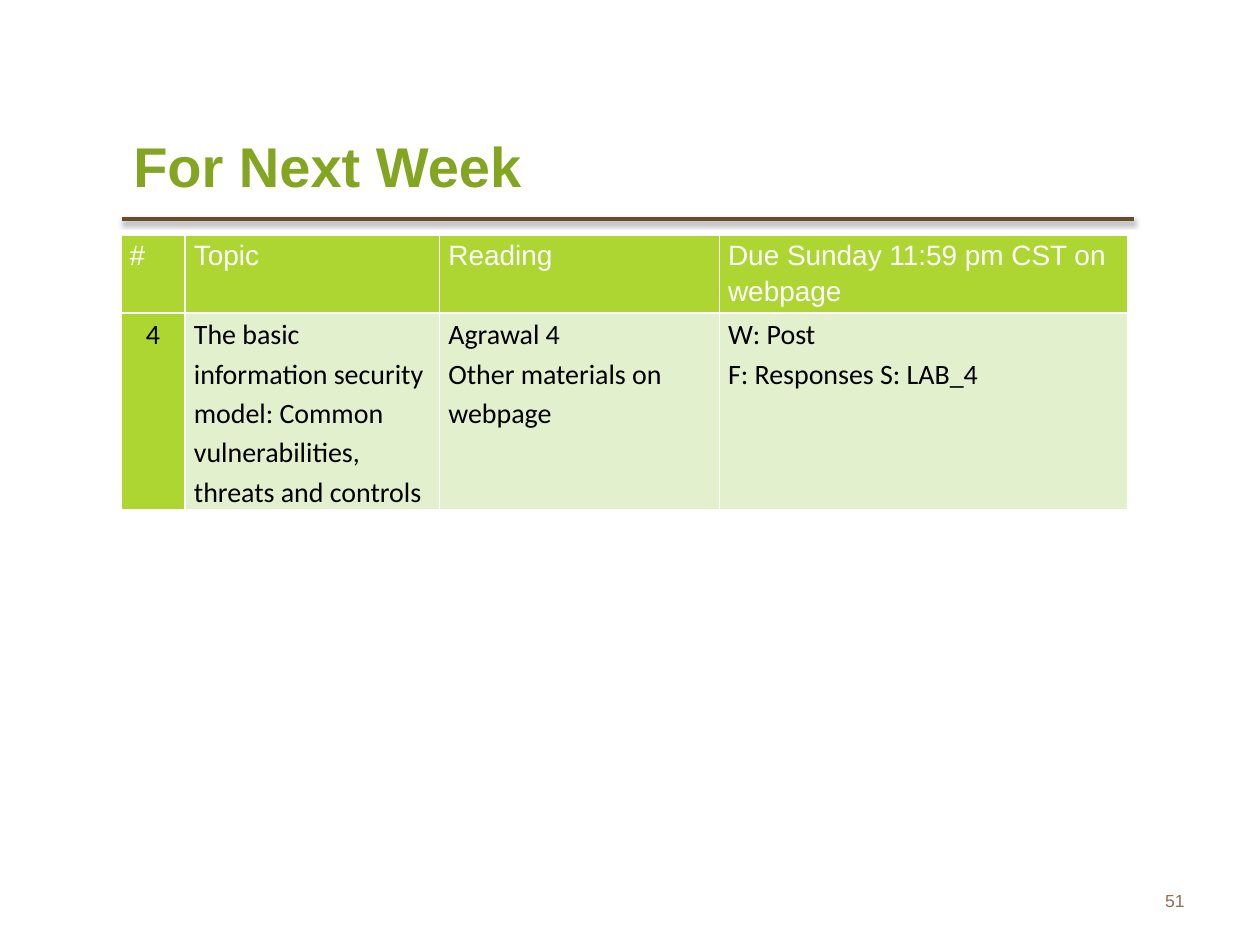
"""Build the course slide that lists the work due next week."""
from dataclasses import dataclass

from lxml import etree
from pptx import Presentation
from pptx import util as u
from pptx.dml.color import RGBColor
from pptx.enum import shapes, text
from pptx.oxml.ns import qn

GRID_COLUMNS, GRID_ROWS = 100, 75
CELL = u.Inches(0.1)
WHITE = RGBColor(0xFF, 0xFF, 0xFF)
BLACK = RGBColor(0x00, 0x00, 0x00)
LIME = RGBColor(0xAD, 0xD6, 0x32)
PALE_LIME = RGBColor(0xE3, 0xF0, 0xCE)
OLIVE = RGBColor(0x84, 0xA5, 0x21)
BROWN = RGBColor(0x63, 0x4D, 0x2A)
TAN = RGBColor(0x8F, 0x6F, 0x52)
LEFT, CENTER, RIGHT = text.PP_ALIGN.LEFT, text.PP_ALIGN.CENTER, text.PP_ALIGN.RIGHT


@dataclass(frozen=True)
class Label:
    """A text box measured in grid columns and rows."""
    wording: str
    left: float
    top: float
    width: float
    height: float
    size: int
    color: RGBColor
    bold: bool = False
    align: text.PP_ALIGN = LEFT


@dataclass(frozen=True)
class Entry:
    """A table cell with one or more paragraphs."""
    paragraphs: tuple[str, ...]
    fill: RGBColor
    color: RGBColor = BLACK
    font: str = "Calibri"
    align: text.PP_ALIGN = LEFT


LABELS = (
    Label("51", 71.7, 69.5, 23.3, 4, 10, TAN, align=RIGHT),
    Label("For Next Week", 9.6, 8.6, 57.7, 9, 32, OLIVE, bold=True),
)
HEADINGS = ("#", "Topic", "Reading", "Due Sunday 11:59 pm CST on webpage")
SCHEDULE = (
    tuple(Entry((heading,), LIME, WHITE, "Arial") for heading in HEADINGS),
    (
        Entry(("4",), LIME, align=CENTER),
        Entry(("The basic information security model: Common vulnerabilities, "
               "threats and controls",), PALE_LIME),
        Entry(("Agrawal 4", "Other materials on webpage"), PALE_LIME),
        Entry(("W: Post", "F: Responses S: LAB_4"), PALE_LIME),
    ),
)
COLUMN_WIDTHS = (5.1, 20.2, 22.2, 32.4)
ROW_HEIGHTS = (5.6, 15.6)


def grid(units: float) -> u.Emu:
    """Convert grid units to a length."""
    return u.Emu(round(units * CELL))


def style(paragraph, font: str, size: int, color: RGBColor, align) -> None:
    """Set the font and alignment of a paragraph."""
    paragraph.alignment = align
    paragraph.font.name = font
    paragraph.font.size = u.Pt(size)
    paragraph.font.color.rgb = color


def draw_label(slide, label: Label) -> None:
    """Draw a vertically centred text box."""
    shape = slide.shapes.add_textbox(
        *map(grid, (label.left, label.top, label.width, label.height)))
    frame = shape.text_frame
    frame.word_wrap = True
    frame.vertical_anchor = text.MSO_ANCHOR.MIDDLE
    frame.text = label.wording
    paragraph = frame.paragraphs[0]
    style(paragraph, "Arial", label.size, label.color, label.align)
    paragraph.font.bold = label.bold


def draw_rule(slide, left: float, right: float, top: float) -> None:
    """Draw the line under the title with its soft shadow."""
    rule = slide.shapes.add_connector(
        shapes.MSO_CONNECTOR.STRAIGHT, *map(grid, (left, top, right, top)))
    rule.line.color.rgb = BROWN
    rule.line.width = u.Pt(2)
    properties = rule._element.spPr
    effects = etree.SubElement(properties, qn("a:effectLst"))
    shadow = etree.SubElement(
        effects, qn("a:outerShdw"), blurRad=str(u.Pt(3.1)),
        dist=str(u.Pt(1.6)), dir="5400000", rotWithShape="0")
    color = etree.SubElement(shadow, qn("a:srgbClr"), val=str(BLACK))
    etree.SubElement(color, qn("a:alpha"), val="38000")


def draw_borders(cell) -> None:
    """Give a cell thin white borders on all sides."""
    properties = cell._tc.get_or_add_tcPr()
    for index, side in enumerate("LRTB"):
        border = etree.Element(qn(f"a:ln{side}"), w=str(u.Pt(1)))
        fill = etree.SubElement(border, qn("a:solidFill"))
        etree.SubElement(fill, qn("a:srgbClr"), val=str(WHITE))
        properties.insert(index, border)


def fill_cell(cell, entry: Entry) -> None:
    """Write and colour a table cell."""
    cell.margin_left = cell.margin_right = u.Inches(0.07)
    cell.margin_top = cell.margin_bottom = 0
    cell.fill.solid()
    cell.fill.fore_color.rgb = entry.fill
    draw_borders(cell)
    cell.text_frame.text = "\n".join(entry.paragraphs)
    for paragraph in cell.text_frame.paragraphs:
        paragraph.line_spacing = 1.15
        style(paragraph, entry.font, 16, entry.color, entry.align)


def draw_schedule(slide, left: float, top: float) -> None:
    """Draw the table of topics, readings and due work."""
    table = slide.shapes.add_table(
        len(ROW_HEIGHTS), len(COLUMN_WIDTHS), grid(left), grid(top),
        grid(sum(COLUMN_WIDTHS)), grid(sum(ROW_HEIGHTS))).table
    for column, width in zip(table.columns, COLUMN_WIDTHS):
        column.width = grid(width)
    for row, height, entries in zip(table.rows, ROW_HEIGHTS, SCHEDULE):
        row.height = grid(height)
        for cell, entry in zip(row.cells, entries):
            fill_cell(cell, entry)


def main() -> None:
    """Build and save the presentation."""
    presentation = Presentation()
    presentation.slide_width = grid(GRID_COLUMNS)
    presentation.slide_height = grid(GRID_ROWS)
    slide = presentation.slides.add_slide(presentation.slide_layouts[6])
    draw_rule(slide, 9.7, 90, 17.4)
    for label in LABELS:
        draw_label(slide, label)
    draw_schedule(slide, 9.6, 18.7)
    presentation.save("out.pptx")


if __name__ == "__main__":
    main()
